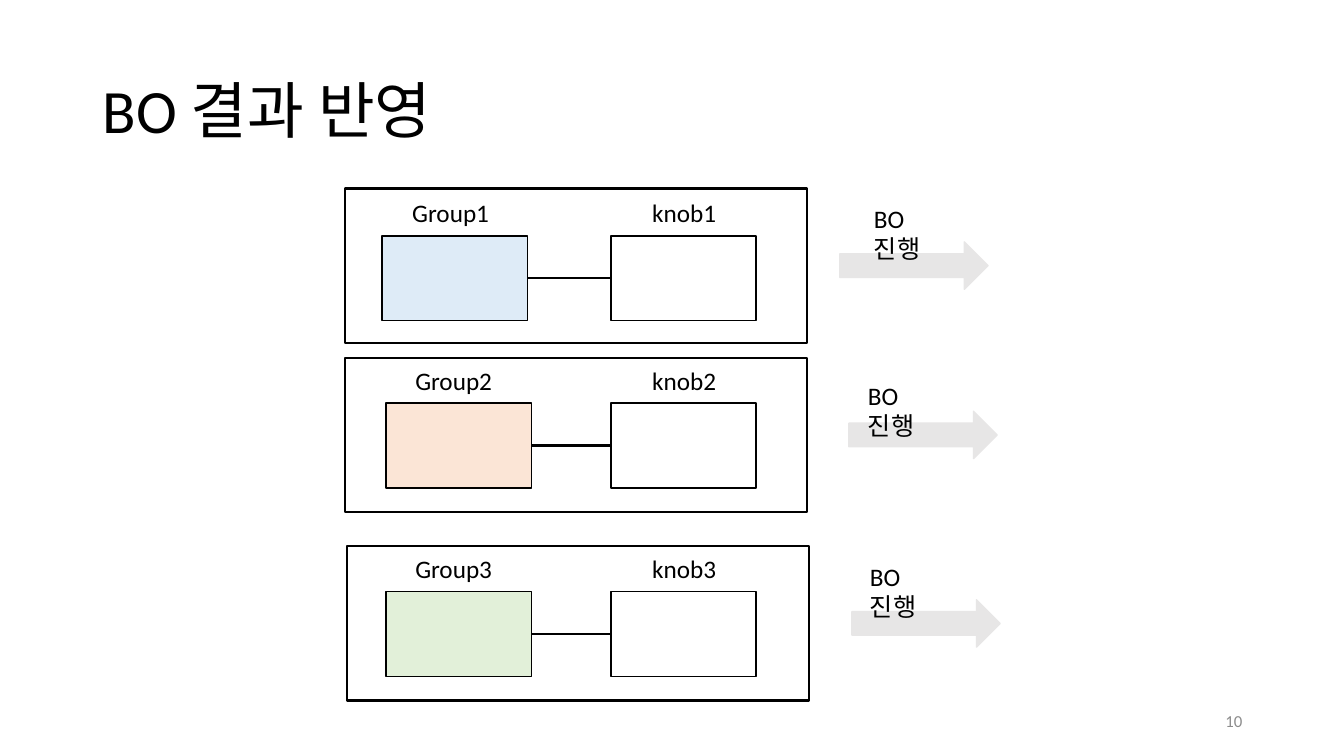
from lxml import etree
from pptx import Presentation
from pptx.dml.color import RGBColor
from pptx.enum.shapes import MSO_CONNECTOR, MSO_SHAPE
from pptx.enum.text import MSO_ANCHOR, PP_ALIGN
from pptx.oxml.ns import qn
from pptx.util import Inches, Pt

RECTANGLE, RIGHT_ARROW = MSO_SHAPE.RECTANGLE, MSO_SHAPE.RIGHT_ARROW
STRAIGHT = MSO_CONNECTOR.STRAIGHT
TOP, MIDDLE = MSO_ANCHOR.TOP, MSO_ANCHOR.MIDDLE
LEFT, RIGHT = PP_ALIGN.LEFT, PP_ALIGN.RIGHT

BLACK = RGBColor(0x00, 0x00, 0x00)
WHITE = RGBColor(0xFF, 0xFF, 0xFF)
GRAY = RGBColor(0x8C, 0x8C, 0x8C)
ARROW_GRAY = RGBColor(0xE7, 0xE6, 0xE6)
BLUE = RGBColor(0xDE, 0xEB, 0xF7)
ORANGE = RGBColor(0xFB, 0xE5, 0xD6)
GREEN = RGBColor(0xE2, 0xF0, 0xD9)

FRAME_WIDTH, FRAME_HEIGHT = 4.58, 1.53
BOX_WIDTH, BOX_HEIGHT = 1.44, 0.84
KNOB_LEFT = 6.06

presentation = Presentation()
presentation.slide_width = Inches(13.33)
presentation.slide_height = Inches(7.5)
slide = presentation.slides.add_slide(presentation.slide_layouts[6])


def add_text(words, left, top, width, height, size=18, color=BLACK,
             align=LEFT, anchor=TOP, wrap=False):
    area = slide.shapes.add_textbox(Inches(left), Inches(top), Inches(width), Inches(height))
    frame = area.text_frame
    frame.word_wrap = wrap
    frame.vertical_anchor = anchor
    paragraph = frame.paragraphs[0]
    paragraph.text = words
    paragraph.alignment = align
    paragraph.font.size = Pt(size)
    paragraph.font.name = "Calibri"
    paragraph.font.color.rgb = color
    return paragraph


def add_block(kind, left, top, width, height, fill=None, line=BLACK, weight=1):
    block = slide.shapes.add_shape(kind, Inches(left), Inches(top), Inches(width), Inches(height))
    block.shadow.inherit = False
    if fill is None:
        block.fill.background()
    else:
        block.fill.solid()
        block.fill.fore_color.rgb = fill
    block.line.color.rgb = line
    block.line.width = Pt(weight)


title = add_text("BO 결과 반영", 0.92, 0.4, 11.5, 1.45, size=44, anchor=MIDDLE, wrap=True)
title.line_spacing = 0.9
add_text("10", 9.42, 6.95, 3, 0.4, size=12, color=GRAY, align=RIGHT, anchor=MIDDLE, wrap=True)

stages = [
    (3.42, 1.87, 1.91, 3.99, 3.79, BLUE, 8.33, 8.57, 1.97),
    (3.42, 3.55, 3.57, 4.02, 3.83, ORANGE, 8.42, 8.51, 3.72),
    (3.44, 5.42, 5.44, 4.02, 3.83, GREEN, 8.45, 8.53, 5.52),
]
for number, stage in enumerate(stages, 1):
    (frame_left, frame_top, label_top, group_label_left, group_left,
     group_color, arrow_left, step_left, step_top) = stage
    box_top = label_top + 0.43
    middle = box_top + BOX_HEIGHT / 2

    add_text(f"Group{number}", group_label_left, label_top, 0.98, 0.35)
    add_block(RECTANGLE, group_left, box_top, BOX_WIDTH, BOX_HEIGHT, group_color)
    add_text(f"knob{number}", KNOB_LEFT + 0.31, label_top, 0.85, 0.35)
    add_block(RECTANGLE, KNOB_LEFT, box_top, BOX_WIDTH, BOX_HEIGHT, WHITE)

    link = slide.shapes.add_connector(
        STRAIGHT, Inches(group_left + BOX_WIDTH), Inches(middle),
        Inches(KNOB_LEFT), Inches(middle))
    link.line.color.rgb = BLACK
    link.line.width = Pt(1.5)
    etree.SubElement(link._element.spPr, qn("a:effectLst"))

    add_block(RECTANGLE, frame_left, frame_top, FRAME_WIDTH, FRAME_HEIGHT, weight=1.5)
    add_block(RIGHT_ARROW, arrow_left, frame_top + 0.53, 1.47, 0.47, ARROW_GRAY, ARROW_GRAY)
    add_text("BO 진행", step_left, step_top, 1, 0.4, wrap=True)

presentation.save("out.pptx")
